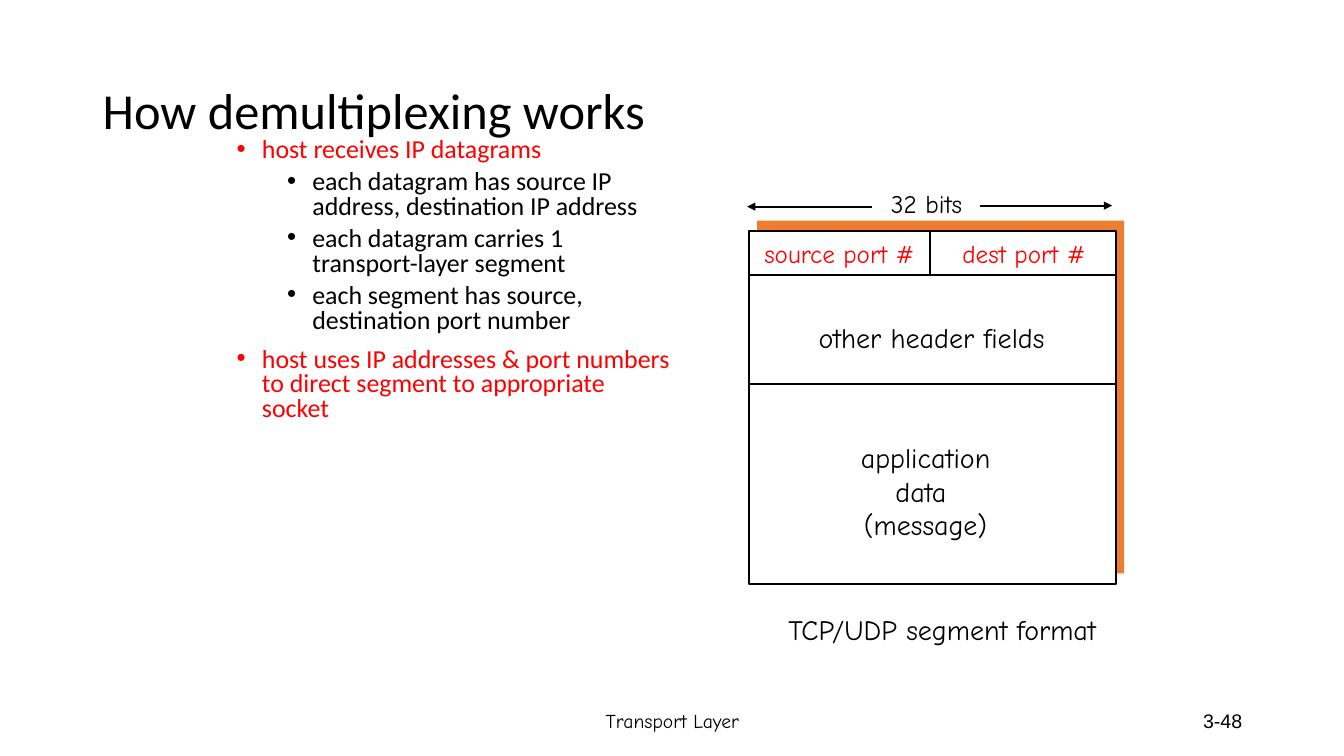
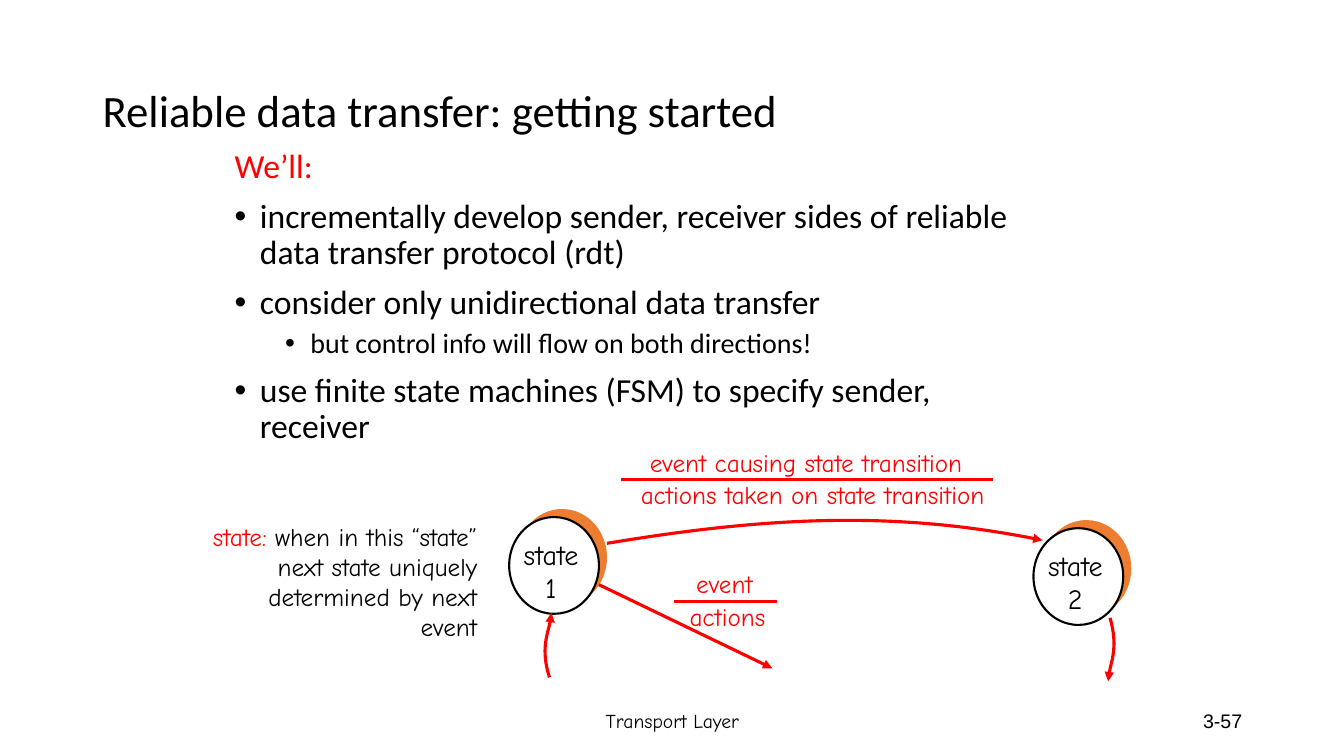
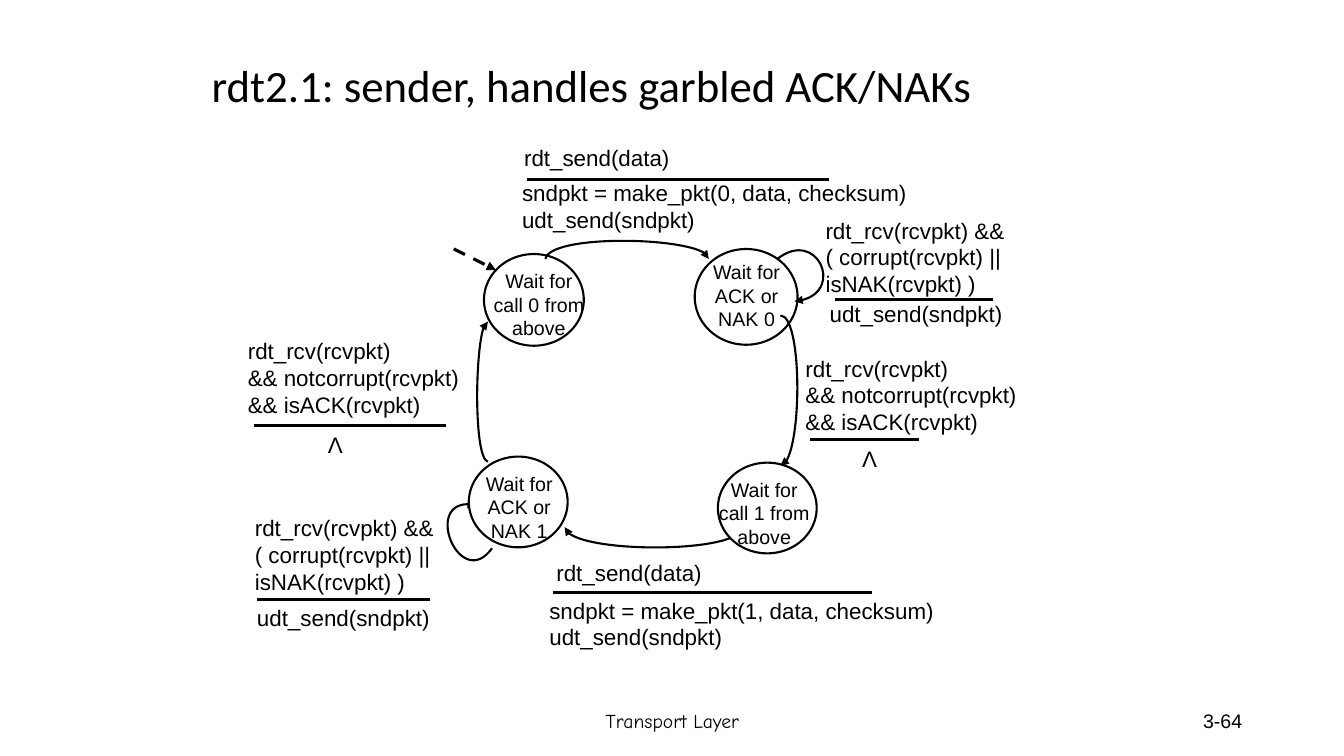
from dataclasses import dataclass

from lxml import etree
from pptx import Presentation
from pptx.dml.color import RGBColor
from pptx.enum.dml import MSO_LINE
from pptx.enum.shapes import MSO_CONNECTOR, MSO_SHAPE
from pptx.enum.text import MSO_ANCHOR, PP_ALIGN
from pptx.oxml.ns import qn
from pptx.util import Emu, Pt

EMU_PER_PX = 9144
LEFT, CENTER, RIGHT = PP_ALIGN.LEFT, PP_ALIGN.CENTER, PP_ALIGN.RIGHT
MIDDLE = MSO_ANCHOR.MIDDLE
RECTANGLE, ELLIPSE = MSO_SHAPE.RECTANGLE, MSO_SHAPE.OVAL
STRAIGHT = MSO_CONNECTOR.STRAIGHT
DASH = MSO_LINE.DASH


@dataclass(frozen=True)
class Theme:
    black: RGBColor = RGBColor(0x00, 0x00, 0x00)
    white: RGBColor = RGBColor(0xFF, 0xFF, 0xFF)
    red: RGBColor = RGBColor(0xFF, 0x00, 0x00)
    orange: RGBColor = RGBColor(0xED, 0x7D, 0x31)
    body_font: str = "Calibri"
    hand_font: str = "Comic Neue"
    code_font: str = "Arial"
    title: float = 32
    large_title: float = 36
    body: float = 24
    compact_body: float = 18.5
    diagram: float = 20
    label: float = 18
    code: float = 16
    small: float = 14
    thin: float = 1.5
    thick: float = 2.25


THEME = Theme()


def px(length):
    return Emu(length * EMU_PER_PX)


def apply(target, values):
    for name, value in values.items():
        setattr(target, name, value)


class Deck:
    """Holds the theme, the presentation and the slide being drawn."""

    def __init__(self):
        self.presentation = Presentation()
        apply(self.presentation, {"slide_width": px(1333), "slide_height": px(750)})
        self.slide = None

    def new_slide(self, number, title, title_size=THEME.title, title_box=(92, 40, 1150, 145)):
        self.slide = self.presentation.slides.add_slide(self.presentation.slide_layouts[6])
        self.text((442, 695, 450, 40), ["Transport Layer"], THEME.hand_font, THEME.small,
                  align=CENTER, anchor=MIDDLE)
        self.text((942, 695, 300, 40), [number], THEME.code_font, THEME.small,
                  align=RIGHT, anchor=MIDDLE)
        self.text(title_box, [title], THEME.body_font, title_size, anchor=MIDDLE, spacing=0.9)

    def frame(self, box, wrap=True, anchor=MSO_ANCHOR.TOP):
        text_frame = self.slide.shapes.add_textbox(*map(px, box)).text_frame
        apply(text_frame, {"word_wrap": wrap, "vertical_anchor": anchor})
        return text_frame

    def paragraph(self, frame, index, runs, font, size, **values):
        """Fill the next paragraph with (text, colour) runs."""
        paragraph = frame.add_paragraph() if index else frame.paragraphs[0]
        apply(paragraph, values)
        for text, color in runs:
            run = paragraph.add_run()
            run.text = text
            apply(run.font, {"name": font, "size": Pt(size)})
            run.font.color.rgb = color
        return paragraph

    def text(self, box, lines, font, size, color=THEME.black, align=LEFT,
             wrap=True, anchor=MSO_ANCHOR.TOP, spacing=None):
        frame = self.frame(box, wrap, anchor)
        for index, line in enumerate(lines):
            self.paragraph(frame, index, [(line, color)], font, size,
                           alignment=align, line_spacing=spacing)

    def label(self, box, *lines, size=THEME.label, color=THEME.black):
        """Centred, unwrapped diagram label."""
        self.text(box, lines, THEME.hand_font, size, color, CENTER, wrap=False)

    def code(self, box, *lines):
        self.text(box, lines, THEME.code_font, THEME.code)

    def indent(self, paragraph, margin, hanging):
        properties = paragraph._p.get_or_add_pPr()
        properties.set("marL", str(px(margin)))
        properties.set("indent", str(px(-hanging)))
        return properties

    def body(self, box, items, spacing):
        """Items are (level, bullet, text, size, colour)."""
        frame = self.frame(box)
        for index, (level, bullet, text, size, color) in enumerate(items):
            before = (5 if level else 10) if index else 0
            paragraph = self.paragraph(frame, index, [(text, color)], THEME.body_font, size,
                                       level=level, line_spacing=spacing, space_before=Pt(before))
            properties = self.indent(paragraph, 25 + 50 * level, 25)
            if bullet:
                etree.SubElement(properties, qn("a:buFont")).set("typeface", "Arial")
                etree.SubElement(properties, qn("a:buChar")).set("char", bullet)

    def shape(self, kind, box, fill, outlined=True):
        shape = self.slide.shapes.add_shape(kind, *map(px, box))
        shape.shadow.inherit = False
        shape.fill.solid()
        shape.fill.fore_color.rgb = fill
        if outlined:
            self.stroke(shape, THEME.black, THEME.thin)
        else:
            shape.line.fill.background()

    def raised(self, kind, box, lift):
        """White shape with an orange copy behind it, moved by lift."""
        left, top, width, height = box
        self.shape(kind, (left + lift[0], top + lift[1], width, height), THEME.orange, False)
        self.shape(kind, box, THEME.white)

    def stroke(self, shape, color, width, arrow=False, dash=None):
        shape.line.color.rgb = color
        apply(shape.line, {"width": Pt(width), "dash_style": dash})
        if arrow:
            line = shape.element.spPr.find(qn("a:ln"))
            etree.SubElement(line, qn("a:tailEnd")).set("type", "triangle")

    def line(self, start, end, color=THEME.black, width=THEME.thick, arrow=False, dash=None):
        connector = self.slide.shapes.add_connector(STRAIGHT, *map(px, (*start, *end)))
        self.stroke(connector, color, width, arrow, dash)
        etree.SubElement(connector.element.spPr, qn("a:effectLst"))

    def arc(self, points, color=THEME.black, width=THEME.thin):
        """Cubic curve with an arrowhead: start, two controls, end."""
        builder = self.slide.shapes.build_freeform(*points[0], scale=EMU_PER_PX)
        builder.add_line_segments(points[1:], close=False)
        shape = builder.convert_to_shape()
        shape.shadow.inherit = False
        shape.fill.background()
        outline = next(shape.element.iter(qn("a:path")))
        segments = outline.findall(qn("a:lnTo"))
        curve = etree.SubElement(outline, qn("a:cubicBezTo"))
        for segment in segments:
            curve.append(segment[0])
            outline.remove(segment)
        self.stroke(shape, color, width, arrow=True)

    def numbered_state(self, left, top, number):
        self.raised(ELLIPSE, (left, top, 89, 96), (8, -8))
        self.label((left - 3, top + 15, 89, 77), "state", number, size=THEME.diagram)

    def waiting_state(self, circle, box, *lines):
        self.shape(ELLIPSE, circle, THEME.white)
        self.text(box, lines, THEME.code_font, THEME.small, align=CENTER)


def demultiplexing(deck):
    deck.new_slide("3-48", "How demultiplexing works", THEME.large_title)
    points = [
        (0, "host receives IP datagrams"),
        (1, "each datagram has source IP address, destination IP address"),
        (1, "each datagram carries 1 transport-layer segment"),
        (1, "each segment has source, destination port number"),
        (0, "host uses IP addresses & port numbers to direct segment to appropriate socket"),
    ]
    deck.body((225, 133, 450, 305),
              [(level, "•", text, THEME.compact_body, THEME.black if level else THEME.red)
               for level, text in points], 0.8)

    deck.raised(RECTANGLE, (743, 229, 364, 350), (8, -10))
    for start, end in (((743, 273), (1106, 273)), ((743, 381), (1106, 381)),
                       ((922, 272), (922, 229))):
        deck.line(start, end, width=THEME.thin)
    for start, end in (((972, 204), (1103, 204)), ((865, 205), (741, 205))):
        deck.line(start, end, width=THEME.thin, arrow=True)

    deck.label((741, 232, 183, 40), "source port #", color=THEME.red)
    deck.label((936, 232, 159, 40), "dest port #", color=THEME.red)
    deck.label((867, 182, 104, 40), "32 bits")
    for box, lines in (((839, 432, 158, 110), ("application", "data ", "(message)")),
                       ((787, 313, 274, 43), ("other header fields",)),
                       ((757, 603, 355, 43), ("TCP/UDP segment format",))):
        deck.label(box, *lines, size=THEME.diagram)


def getting_started(deck):
    deck.new_slide("3-57", "Reliable data transfer: getting started")
    deck.body((223, 143, 794, 367), [
        (0, None, "We’ll:", THEME.body, THEME.red),
        (0, "•", "incrementally develop sender, receiver sides of reliable "
                 "data transfer protocol (rdt)", THEME.body, THEME.black),
        (0, "•", "consider only unidirectional data transfer", THEME.body, THEME.black),
        (1, "•", "but control info will flow on both directions!", THEME.diagram, THEME.black),
        (0, "•", "use finite state machines (FSM) to specify sender, receiver",
         THEME.body, THEME.black),
    ], 0.9)

    deck.numbered_state(505, 513, "1")
    deck.numbered_state(1025, 524, "2")
    for points in (
        [(602, 539), (764, 512), (893, 507), (1034, 536)],
        [(545, 672), (536, 644), (547, 618), (547, 608)],
        [(1101, 613), (1109, 641), (1099, 666), (1099, 676)],
    ):
        deck.arc(points, THEME.red, THEME.thick)
    deck.line((594, 580), (766, 663), THEME.red, arrow=True)

    for box, text in (((616, 439, 367, 40), "event causing state transition"),
                      ((606, 471, 400, 40), "actions taken on state transition"),
                      ((676, 559, 85, 40), "event"),
                      ((670, 592, 103, 40), "actions")):
        deck.label(box, text, color=THEME.red)
    for left, right, height in ((616, 985, 476), (668, 771, 597)):
        deck.line((left, height), (right, height), THEME.red)

    definition = [("state:", THEME.red),
                  (" when in this “state” next state uniquely determined by next event",
                   THEME.black)]
    paragraph = deck.paragraph(deck.frame((180, 512, 303, 135)), 0, definition,
                               THEME.hand_font, THEME.label, alignment=RIGHT)
    deck.indent(paragraph, 38, 38)


def garbled_acks(deck):
    deck.new_slide("3-64", "rdt2.1: sender, handles garbled ACK/NAKs",
                   title_box=(200, 25, 905, 125))
    deck.waiting_state((480, 252, 99, 91), (475, 262, 119, 67), "Wait for call 0 from above")
    deck.waiting_state((689, 247, 102, 95), (681, 253, 119, 71), "Wait for ACK or NAK 0")
    for points in (
        [(541, 257), (545, 233), (703, 235), (703, 257)],
        [(771, 257), (810, 226), (841, 294), (788, 299)],
        [(774, 313), (795, 313), (796, 459), (774, 462)],
        [(736, 523), (736, 548), (564, 550), (560, 523)],
        [(488, 544), (457, 587), (416, 491), (472, 501)],
        [(484, 458), (470, 455), (471, 319), (484, 319)],
    ):
        deck.arc(points)
    deck.waiting_state((712, 459, 98, 90), (697, 469, 122, 67), "Wait for", "call 1 from above")
    deck.waiting_state((465, 453, 98, 90), (458, 463, 114, 67), "Wait for ACK or NAK 1")
    deck.line((450, 247), (492, 268), arrow=True, dash=DASH)

    for left, right, height in ((523, 822, 178), (828, 985, 297), (803, 912, 436),
                                (548, 865, 588), (255, 426, 595), (252, 442, 422)):
        deck.line((left, height), (right, height))

    for bit, event_box, action_box in (("0", (510, 138, 231, 33), (508, 173, 404, 44)),
                                       ("1", (542, 550, 261, 31), (535, 587, 412, 44))):
        deck.code(event_box, "rdt_send(data)")
        deck.code(action_box, f"sndpkt = make_pkt({bit}, data, checksum)", "udt_send(sndpkt)")
    for event_box, action_box in (((809, 210, 280, 62), (813, 293, 247, 44)),
                                  ((243, 505, 220, 62), (245, 594, 199, 30))):
        deck.code(event_box, "rdt_rcv(rcvpkt) &&", "( corrupt(rcvpkt) ||", "isNAK(rcvpkt) )")
        deck.code(action_box, "udt_send(sndpkt)")
    for event_box, action_box in (((789, 347, 328, 62), (845, 437, 35, 37)),
                                  ((236, 330, 231, 62), (315, 423, 35, 37))):
        deck.code(event_box, "rdt_rcv(rcvpkt)", "&& notcorrupt(rcvpkt)", "&& isACK(rcvpkt)")
        deck.text(action_box, ["Λ"], THEME.code_font, THEME.code, align=CENTER, wrap=False)


def main():
    deck = Deck()
    for draw in (demultiplexing, getting_started, garbled_acks):
        draw(deck)
    deck.presentation.save("out.pptx")


if __name__ == "__main__":
    main()
